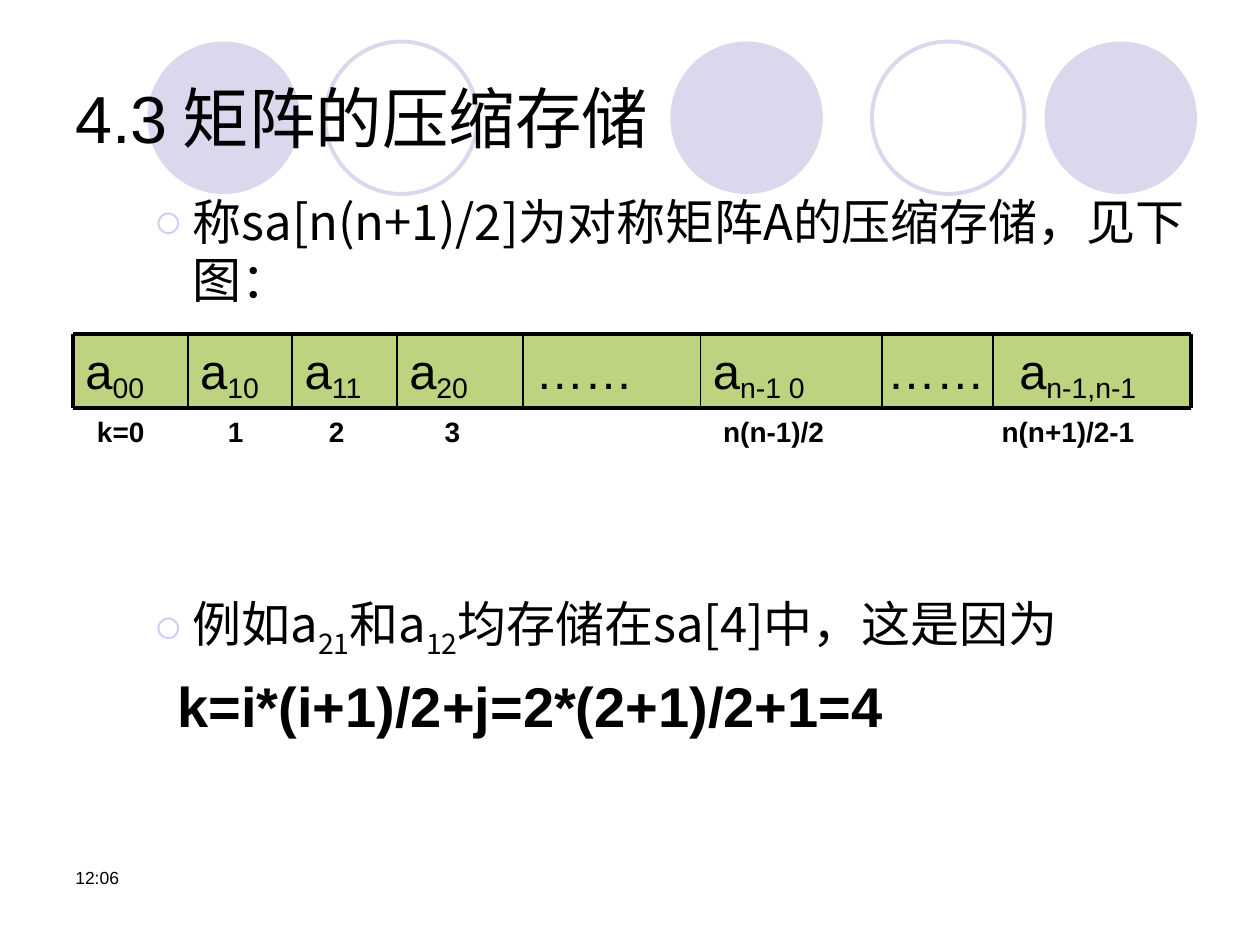
from lxml.etree import SubElement
from pptx import Presentation
from pptx.dml.color import RGBColor
from pptx.enum.shapes import MSO_CONNECTOR as Connector, MSO_SHAPE as Shape
from pptx.enum.text import MSO_ANCHOR as Anchor, PP_ALIGN as Align
from pptx.oxml.ns import qn
from pptx.util import Inches, Pt

BLACK = RGBColor(0x00, 0x00, 0x00)
LAVENDER = RGBColor(0xD9, 0xD8, 0xEC)
BULLET = RGBColor(0xCC, 0xCC, 0xFF)
GREEN = RGBColor(0x7C, 0xA8, 0x00)
LATIN, CHINESE = "Arial", "Noto Sans CJK SC"

CIRCLE_SIZE = 1.21
CIRCLES = [(1.17, True), (2.58, False), (5.32, True), (6.92, False), (8.29, True)]

# Each cell: left edge, text, subscript, text inset
CELLS = [
    (0.58, "a", "00", 0.1),
    (1.49, "a", "10", 0.1),
    (2.32, "a", "11", 0.1),
    (3.15, "a", "20", 0.1),
    (4.15, "……", "", 0.1),
    (5.56, "a", "n-1 0", 0.1),
    (7.0, "……", "", 0.04),
    (7.88, "a", "n-1,n-1", 0.21),
]
INDEXES = [(0.77, "k=0"), (1.81, "1"), (2.61, "2"), (3.53, "3"),
           (5.74, "n(n-1)/2"), (7.95, "n(n+1)/2-1")]


def add_span(para, text, size=28, font=LATIN, bold=False, baseline=0):
    span = para.add_run()
    span.text = text
    span.font.size = Pt(size)
    span.font.name = font
    span.font.bold = bold
    span.font.color.rgb = BLACK
    properties = span.font._element
    SubElement(properties, qn("a:ea"), typeface=font)
    if baseline:
        properties.set("baseline", str(baseline * 1000))


def set_frame(box, left=0.1, top=0.05, right=0.1, wrap=True, anchor=Anchor.TOP):
    frame = box.text_frame
    frame.margin_left, frame.margin_right = Inches(left), Inches(right)
    frame.margin_top = frame.margin_bottom = Inches(top)
    frame.word_wrap = wrap
    frame.vertical_anchor = anchor
    return frame.paragraphs[0]


def add_text(page, left, top, width, height, spans, frame=None):
    """Add a text box; spans is a list of (text, format) pairs."""
    box = page.shapes.add_textbox(Inches(left), Inches(top), Inches(width), Inches(height))
    para = set_frame(box, **(frame or {}))
    for text, style in spans:
        add_span(para, text, **style)
    return para


def add_circles(page, top):
    for left, filled in CIRCLES:
        circle = page.shapes.add_shape(Shape.OVAL, Inches(left), Inches(top),
                                       Inches(CIRCLE_SIZE), Inches(CIRCLE_SIZE))
        circle.shadow.inherit = False
        if filled:
            circle.fill.solid()
            circle.fill.fore_color.rgb = LAVENDER
            circle.line.fill.background()
        else:
            circle.fill.background()
            circle.line.color.rgb = LAVENDER
            circle.line.width = Pt(2.25)


def add_bullet(page, left, top, width, height, spans):
    styled = [(text, {"font": CHINESE, "baseline": base}) for text, base in spans]
    para = add_text(page, left, top, width, height, styled,
                    frame={"left": 0, "top": 0, "right": 0})
    para.line_spacing = Pt(33)
    properties = para._p.get_or_add_pPr()
    properties.set("marL", str(Inches(0.81)))
    properties.set("indent", str(Inches(-0.31)))
    color = SubElement(properties, qn("a:buClr"))
    SubElement(color, qn("a:srgbClr"), val=str(BULLET))
    SubElement(properties, qn("a:buFont"), typeface=LATIN)
    SubElement(properties, qn("a:buChar"), char="○")


def add_rule(page, x1, y1, x2, y2, width):
    rule = page.shapes.add_connector(Connector.STRAIGHT, Inches(x1), Inches(y1),
                                     Inches(x2), Inches(y2))
    rule.line.color.rgb = BLACK
    rule.line.width = Pt(width)
    SubElement(rule._element.spPr, qn("a:effectLst"))


def add_cell(page, left, top, width, height, text, subscript, inset):
    cell = page.shapes.add_shape(Shape.RECTANGLE, Inches(left), Inches(top),
                                 Inches(width), Inches(height))
    cell.shadow.inherit = False
    cell.fill.solid()
    cell.fill.fore_color.rgb = GREEN
    color = cell._element.spPr.find(qn("a:solidFill")).find(qn("a:srgbClr"))
    SubElement(color, qn("a:alpha"), val="50000")
    cell.line.fill.background()
    para = set_frame(cell, left=inset, top=0.05, right=0.04)
    para.alignment = Align.LEFT
    add_span(para, text)
    if subscript:
        add_span(para, subscript, baseline=-20)


def add_storage_array(page, top, right, height):
    """Draw the cells, their rules and the index under each one."""
    edges = [cell[0] for cell in CELLS] + [right]
    bottom = top + height
    for (left, *content), end in zip(CELLS, edges[1:]):
        add_cell(page, left, top, end - left, height, *content)
    for y in (top, bottom):
        add_rule(page, edges[0], y, right, y, 2.25)
    for x in edges:
        add_rule(page, x, top, x, bottom, 2.25 if x in (edges[0], right) else 1)
    for left, index in INDEXES:
        add_text(page, left, bottom, 1.2, 0.37, [(index, {"size": 16, "bold": True})],
                 frame={"left": 0, "wrap": False})


def main():
    deck = Presentation()
    deck.slide_width, deck.slide_height = Inches(10), Inches(7.5)
    page = deck.slides.add_slide(deck.slide_layouts[6])

    add_circles(page, 0.33)
    add_text(page, 0.5, 0.3, 9, 1.25,
             [("4.3", {"size": 38}), (" 矩阵的压缩存储", {"size": 38, "font": CHINESE})],
             frame={"anchor": Anchor.MIDDLE})
    add_bullet(page, 0.72, 1.53, 8.73, 0.95,
               [("称sa[n(n+1)/2]为对称矩阵A的压缩存储，见下图：", 0)])
    add_storage_array(page, 2.65, 9.45, 0.59)
    add_bullet(page, 0.72, 4.78, 8.73, 0.5,
               [("例如a", 0), ("21", -25), ("和a", 0), ("12", -25),
                ("均存储在sa[4]中，这是因为", 0)])
    add_text(page, 1.41, 5.33, 8, 0.55,
             [("k=i*(i+1)/2+j=2*(2+1)/2+1=4", {"size": 32, "bold": True})],
             frame={"left": 0, "top": 0})
    add_text(page, 0.5, 6.83, 2.33, 0.5, [("12:06", {"size": 10})])

    deck.save("out.pptx")


if __name__ == "__main__":
    main()
